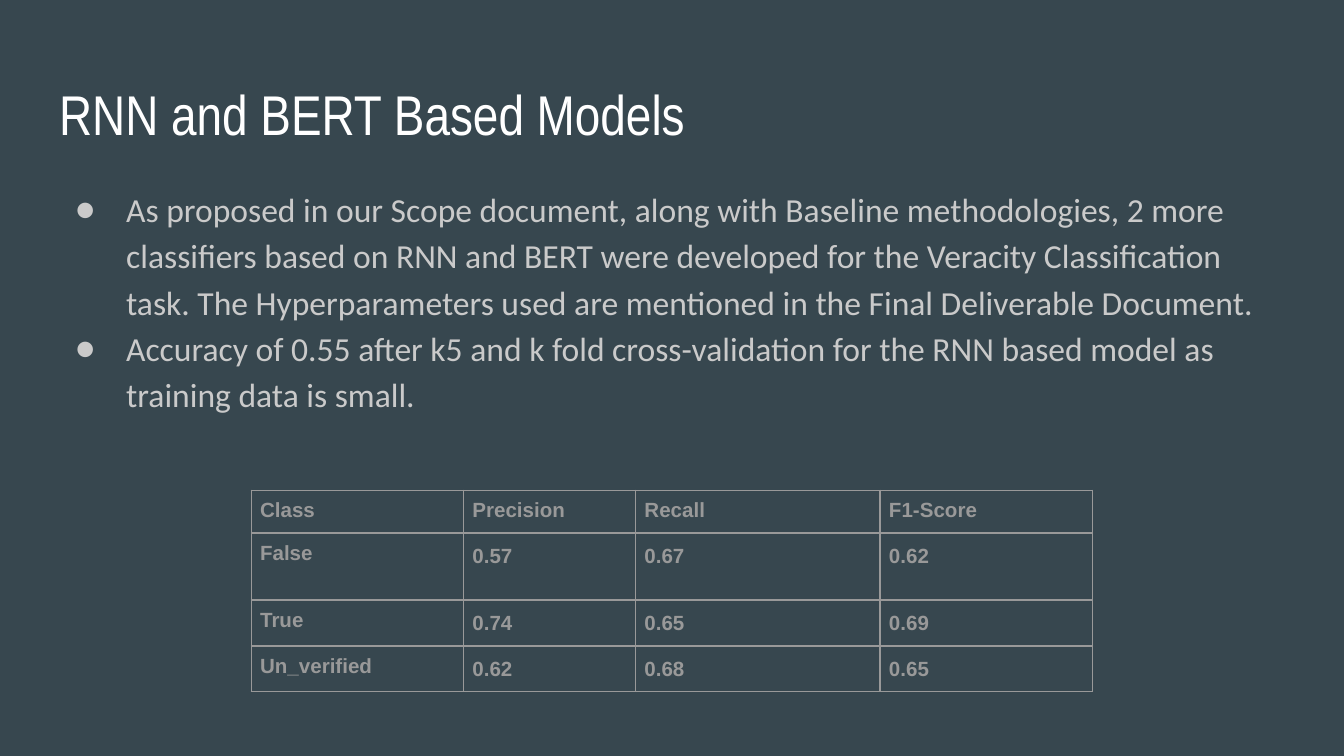
from lxml.etree import SubElement
from pptx import Presentation
from pptx.dml.color import RGBColor
from pptx.enum.text import MSO_ANCHOR, PP_ALIGN
from pptx.oxml.ns import qn
from pptx.util import Inches, Pt

TITLE = "RNN and BERT Based Models"
POINTS = [
    "As proposed in our Scope document, along with Baseline methodologies, 2 more classifiers "
    "based on RNN and BERT were developed for the Veracity Classification task. "
    "The Hyperparameters used are mentioned in the Final Deliverable Document.",
    "Accuracy of 0.55 after k5 and k fold cross-validation for the RNN based model as "
    "training data is small.",
]
SCORES = [
    ("Class", "Precision", "Recall", "F1-Score"),
    ("False", "0.57", "0.67", "0.62"),
    ("True", "0.74", "0.65", "0.69"),
    ("Un_verified", "0.62", "0.68", "0.65"),
]
COLUMN_WIDTHS = (1.58, 1.28, 1.82, 1.58)
ROW_HEIGHTS = (0.3, 0.5, 0.33, 0.33)
COLORS = {"background": "37474F", "title": "FFFFFF", "body": "CACACA", "table": "999999"}
WIDTH = 10
HEIGHT = WIDTH * 9 / 16
MARGIN = 0.34
CELL_MARGIN = Pt(4.7)
LINE_SPACING = 1.15


def color(part):
    return RGBColor.from_string(COLORS[part])


def write(paragraph, text, font, size, part, bold=False):
    run = paragraph.add_run()
    run.text = text
    run.font.name = font
    run.font.size = Pt(size)
    run.font.bold = bold
    run.font.color.rgb = color(part)


def place(box, top, height):
    box.left, box.top = Inches(MARGIN), Inches(top)
    box.width, box.height = Inches(WIDTH - 2 * MARGIN), Inches(height)
    frame = box.text_frame
    frame.word_wrap = True
    frame.vertical_anchor = MSO_ANCHOR.TOP
    frame.margin_left = frame.margin_right = Inches(0.1)
    frame.margin_top = frame.margin_bottom = Inches(0.1)
    return frame


def add_bullet(paragraph):
    properties = paragraph._p.get_or_add_pPr()
    properties.set("marL", str(Inches(0.5)))
    properties.set("indent", str(Inches(-0.38)))
    bullet_color = SubElement(properties, qn("a:buClr"))
    SubElement(bullet_color, qn("a:srgbClr"), val=COLORS["body"])
    SubElement(properties, qn("a:buFont"), typeface="Calibri")
    SubElement(properties, qn("a:buChar"), char="●")


def add_borders(cell):
    properties = cell._tc.get_or_add_tcPr()
    for side in ("lnL", "lnR", "lnT", "lnB"):
        border = SubElement(properties, qn(f"a:{side}"), w=str(Pt(1)))
        fill = SubElement(border, qn("a:solidFill"))
        SubElement(fill, qn("a:srgbClr"), val=COLORS["table"])


deck = Presentation()
deck.slide_width, deck.slide_height = Inches(WIDTH), Inches(HEIGHT)
slide = deck.slides.add_slide(deck.slide_layouts[5])
slide.background.fill.solid()
slide.background.fill.fore_color.rgb = color("background")

heading = place(slide.shapes.title, 0.49, 0.63).paragraphs[0]
heading.alignment = PP_ALIGN.LEFT
write(heading, TITLE, "Arial Narrow", 30, "title")

body = place(slide.shapes.add_textbox(0, 0, 0, 0), 1.26, 3.74)
for index, point in enumerate(POINTS):
    paragraph = body.add_paragraph() if index else body.paragraphs[0]
    paragraph.line_spacing = LINE_SPACING
    add_bullet(paragraph)
    write(paragraph, point, "Calibri", 18, "body")

table_width = sum(COLUMN_WIDTHS)
scores = slide.shapes.add_table(
    len(SCORES), len(COLUMN_WIDTHS),
    Inches((WIDTH - table_width) / 2), Inches(3.65),
    Inches(table_width), Inches(sum(ROW_HEIGHTS)),
).table
scores.first_row = scores.horz_banding = False
for column, width in zip(scores.columns, COLUMN_WIDTHS):
    column.width = Inches(width)
for row, height in zip(scores.rows, ROW_HEIGHTS):
    row.height = Inches(height)
for r, values in enumerate(SCORES):
    for c, value in enumerate(values):
        cell = scores.cell(r, c)
        cell.margin_left = cell.margin_right = CELL_MARGIN
        cell.margin_top = cell.margin_bottom = CELL_MARGIN
        add_borders(cell)
        cell.fill.background()
        paragraph = cell.text_frame.paragraphs[0]
        if r and c:
            paragraph.line_spacing = LINE_SPACING
        write(paragraph, value, "Arial", 11, "table", bold=True)

deck.save("out.pptx")
